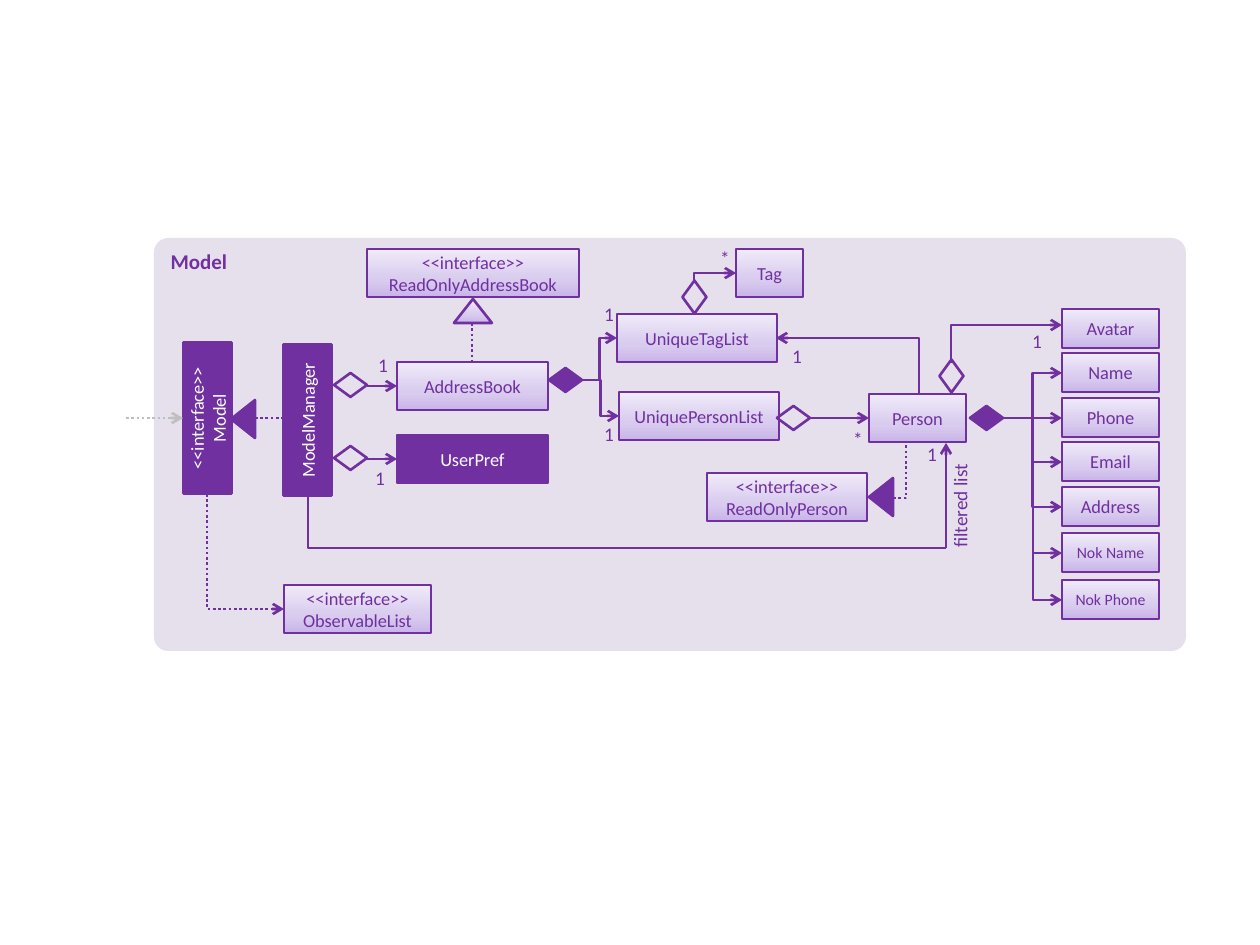
import pptx
import pptx.util
import pptx.dml.color
import pptx.enum.dml
import pptx.enum.shapes
import pptx.enum.text
import pptx.oxml.ns
from lxml import etree

EMU_PER_PX = 914400 / 126
PURPLE, WHITE, GREY, PANEL = "7030A0", "FFFFFF", "BFBFBF", "E6E0EC"
GRADIENT = [(0, "C9B5E8"), (35, "D8CBEE"), (100, "F0EAF9")]
SHAPE = pptx.enum.shapes.MSO_SHAPE
ALIGN = pptx.enum.text.PP_ALIGN
ANCHOR = pptx.enum.text.MSO_ANCHOR
qn = pptx.oxml.ns.qn


def px(n):
    return pptx.util.Emu(round(n * EMU_PER_PX))


def color(value):
    return pptx.dml.color.RGBColor.from_string(value)


def write(sp, text, size=10.5, ink=PURPLE, bold=False, align=ALIGN.CENTER, anchor=ANCHOR.MIDDLE):
    tf = sp.text_frame
    tf.word_wrap = True
    tf.vertical_anchor = anchor
    tf.text = text
    for p in tf.paragraphs:
        p.alignment = align
        for r in p.runs:
            r.font.name = "Calibri"
            r.font.size = pptx.util.Pt(size)
            r.font.bold = bold
            r.font.color.rgb = color(ink)


def paint(sp, fill):
    if fill is None:
        sp.fill.background()
    elif fill == GRADIENT:
        sp.fill.gradient()
        sp.fill.gradient_angle = 90
        stops = sp._element.spPr.find(".//" + qn("a:gsLst"))
        for gs in list(stops):
            stops.remove(gs)
        for pos, value in GRADIENT:
            gs = etree.SubElement(stops, qn("a:gs"), pos=str(pos * 1000))
            etree.SubElement(gs, qn("a:srgbClr"), val=value)
    else:
        sp.fill.solid()
        sp.fill.fore_color.rgb = color(fill)


def shape(box, x, y, w, h, kind=SHAPE.RECTANGLE, fill=GRADIENT, line=PURPLE, rot=0):
    sp = shapes.add_shape(kind, px(box[0] + x), px(box[1] + y), px(w), px(h))
    sp.shadow.inherit = False
    sp.rotation = rot
    paint(sp, fill)
    if line:
        sp.line.color.rgb = color(line)
        sp.line.width = pptx.util.Pt(1.5)
    else:
        sp.line.fill.background()
    return sp


def node(box, x, y, w, text, h=48, size=10.5, solid=False, rot=0):
    sp = shape(box, x, y, w, h, fill=PURPLE if solid else GRADIENT, rot=rot)
    write(sp, text, size=size, ink=WHITE if solid else PURPLE)


def diamond(box, x, y, fill=None, rot=0):
    shape(box, x, y, 33, 24, SHAPE.FLOWCHART_DECISION, fill, rot=rot)


def triangle(box, x, y, fill=PURPLE, rot=0):
    shape(box, x, y, 38, 24, SHAPE.ISOSCELES_TRIANGLE, fill, rot=rot)


def label(box, x, y, text, w=26, h=25, rot=0, align=ALIGN.CENTER, inset=0):
    sp = shapes.add_textbox(px(box[0] + x), px(box[1] + y), px(w), px(h))
    sp.rotation = rot
    tf = sp.text_frame
    tf.margin_left = tf.margin_right = px(2 * inset)
    tf.margin_top = tf.margin_bottom = px(inset)
    write(sp, text, size=11, align=align, anchor=ANCHOR.TOP)


def link(box, x1, y1, x2, y2, corner=False, arrow=True, dotted=False, ink=PURPLE):
    kinds = pptx.enum.shapes.MSO_CONNECTOR
    dx, dy = x2 - x1, y2 - y1
    kind = kinds.ELBOW if dx and dy else kinds.STRAIGHT
    if corner:
        mid_x, mid_y = (x1 + x2) / 2, (y1 + y2) / 2
        half_w, half_h = abs(dy) / 2, abs(dx) / 2
        if (dx > 0) == (dy > 0):
            half_h = -half_h
        x1, x2 = mid_x - half_w, mid_x + half_w
        y1, y2 = mid_y - half_h, mid_y + half_h
    c = shapes.add_connector(kind, *[px(n) for n in (
        box[0] + x1, box[1] + y1, box[0] + x2, box[1] + y2)])
    c.line.color.rgb = color(ink)
    c.line.width = pptx.util.Pt(1.5)
    if dotted:
        c.line.dash_style = pptx.enum.dml.MSO_LINE.ROUND_DOT
    spPr = c._element.spPr
    if corner:
        spPr.find(qn("a:xfrm")).set("rot", str((90 if dy > 0 else 270) * 60000))
        spPr.find(qn("a:prstGeom")).set("prst", "bentConnector2")
    if arrow:
        etree.SubElement(spPr.find(qn("a:ln")), qn("a:tailEnd"), type="arrow")
    etree.SubElement(spPr, qn("a:effectLst"))


def draw_panel(box):
    sp = shape(box, 0, 0, box[2], box[3], SHAPE.ROUNDED_RECTANGLE, PANEL, None)
    sp.adjustments[0] = 0.035
    write(sp, "Model", size=12, bold=True, align=ALIGN.LEFT, anchor=ANCHOR.TOP)
    link(box, 154, 256, 792, 310, corner=True, arrow=False)
    link(box, 792, 310, 792, 205)


def draw_manager(box):
    node(box, 106, 53, 151, "ModelManager", solid=True, rot=270)
    node(box, 6, 51, 151, "<<interface>>\nModel", solid=True, rot=270)
    triangle(box, 98, 64, rot=270)
    link(box, 0, 75, 57, 75, dotted=True, ink=GREY)
    link(box, 129, 75, 158, 75, arrow=False, dotted=True)
    node(box, 158, 242, 147, "<<interface>>\vObservableList")
    link(box, 81, 151, 158, 266, corner=True, dotted=True)


def draw_address_book(box):
    node(box, 33, 1, 212, "<<interface>>\vReadOnlyAddressBook")
    triangle(box, 120, 51, GRADIENT)
    link(box, 138, 75, 138, 115, arrow=False, dotted=True)
    for y, text, solid, label_at in [(114, "AddressBook", False, (36, 105)),
                                     (187, "UserPref", True, (33, 218))]:
        node(box, 63, y, 151, text, solid=solid)
        diamond(box, 0, y + 11)
        link(box, 33, y + 24, 63, y + 24)
        label(box, *label_at, "1")


def draw_lists(box):
    for x, y, text in [(70, 146, "UniquePersonList"), (68, 68, "UniqueTagList")]:
        node(box, x, y, 160, text)
        link(box, 33, 134, x, y + 24)
    diamond(box, 0, 122, PURPLE)
    diamond(box, 228, 160)
    link(box, 261, 172, 320, 172)
    node(box, 187, 3, 67, "Tag")
    diamond(box, 129, 39, rot=270)
    link(box, 145, 35, 187, 27, corner=True)
    for x, y, text in [(47, 56, "1"), (47, 176, "1"), (235, 98, "1"),
                       (163, 0, "*"), (296, 181, "*")]:
        label(box, x, y, text)


def draw_person(box):
    link(box, 199, 112, 185, 170, corner=True, arrow=False, dotted=True)
    triangle(box, 155, 157, rot=270)
    node(box, 162, 66, 97, "Person")
    node(box, 0, 145, 160, "<<interface>>\vReadOnlyPerson")
    link(box, 212, 66, 69, 10, corner=True)
    diamond(box, 228, 36, rot=270)
    diamond(box, 263, 78, PURPLE)
    label(box, 193, 166, "filtered list", 121, 37, 270, ALIGN.RIGHT, 6)
    label(box, 212, 114, "1")


def draw_details(box):
    fields = [(0, "Avatar"), (44, "Name"), (89, "Phone"), (133, "Email"),
              (178, "Address"), (224, "Nok Name"), (271, "Nok Phone")]
    for y, text in fields:
        node(box, 111, y, 97, text, h=39, size=9 if text.startswith("Nok") else 10.5)
    for y, text in fields[1:5]:
        link(box, 52, 109, 111, y + 20)
    for start, end in [(198, 244), (242, 291)]:
        link(box, 82, start, 111, end, corner=True)
    link(box, 0, 54, 111, 16, corner=True)
    label(box, 73, 20, "1")


prs = pptx.Presentation()
prs.slide_width, prs.slide_height = px(1260), px(945)
shapes = prs.slides.add_slide(prs.slide_layouts[6]).shapes
draw_panel((154, 238, 1032, 413))
draw_manager((126, 343))
draw_address_book((334, 248))
draw_lists((549, 246))
draw_person((707, 328))
draw_details((951, 309))
prs.save("out.pptx")
